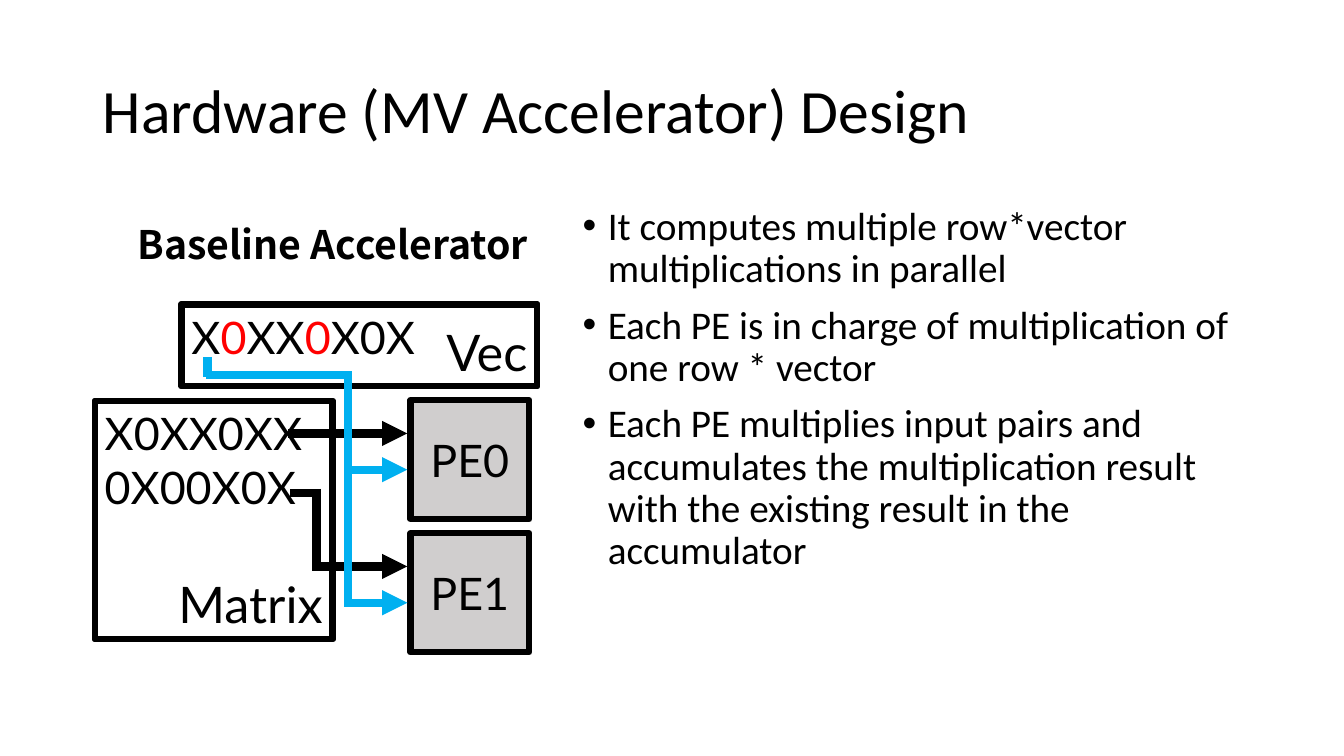
from lxml import etree
from pptx import Presentation
from pptx.dml.color import RGBColor
from pptx.enum.shapes import MSO_CONNECTOR, MSO_SHAPE
from pptx.enum.text import MSO_ANCHOR, MSO_AUTO_SIZE, PP_ALIGN
from pptx.oxml.ns import qn
from pptx.util import Inches, Pt

BLACK = RGBColor(0x00, 0x00, 0x00)
WHITE = RGBColor(0xFF, 0xFF, 0xFF)
RED = RGBColor(0xFF, 0x00, 0x00)
BLUE = RGBColor(0x00, 0xB0, 0xF0)
GRAY = RGBColor(0xD0, 0xCE, 0xCE)
LEFT, CENTER, RIGHT = PP_ALIGN.LEFT, PP_ALIGN.CENTER, PP_ALIGN.RIGHT
TOP, MIDDLE, BOTTOM = MSO_ANCHOR.TOP, MSO_ANCHOR.MIDDLE, MSO_ANCHOR.BOTTOM
RECTANGLE, STRAIGHT = MSO_SHAPE.RECTANGLE, MSO_CONNECTOR.STRAIGHT

TITLE_FORMAT = {"name": "Calibri", "size": Pt(44), "bold": False}
BODY_FORMAT = {"name": "Calibri", "size": Pt(28)}
HEADING_FORMAT = {"name": "Noto Sans CJK KR", "size": Pt(28), "bold": True}
LABEL_FORMAT = {"name": "Lato", "size": Pt(36)}
VALUE_FORMAT = {"name": "Lato", "size": Pt(32)}

BULLETS = [
    "It computes multiple row*vector multiplications in parallel",
    "Each PE is in charge of multiplication of one row * vector",
    "Each PE multiplies input pairs and accumulates the multiplication "
    "result with the existing result in the accumulator",
]
VECTOR_VALUES = [("X", BLACK), ("0", RED), ("XX", BLACK), ("0", RED), ("X0X", BLACK)]


def inches(*lengths):
    return [Inches(length) for length in lengths]


def add_run(paragraph, text, text_format, color=BLACK):
    run = paragraph.add_run()
    run.text = text
    for attribute, value in text_format.items():
        setattr(run.font, attribute, value)
    run.font.color.rgb = color


def write_lines(frame, lines, text_format, align=LEFT, anchor=TOP):
    """Write one paragraph per line, each a list of (text, color) runs."""
    frame.word_wrap = True
    frame.vertical_anchor = anchor
    for index, line in enumerate(lines):
        paragraph = frame.add_paragraph() if index else frame.paragraphs[0]
        paragraph.alignment = align
        for text, color in line:
            add_run(paragraph, text, text_format, color)


def add_box(slide, box, lines, text_format, align, anchor, fill=None):
    shape = slide.shapes.add_shape(RECTANGLE, *inches(*box))
    shape.shadow.inherit = False
    if fill is None:
        shape.fill.background()
    else:
        shape.fill.solid()
        shape.fill.fore_color.rgb = fill
    shape.line.color.rgb = BLACK
    shape.line.width = Pt(4.5)
    write_lines(shape.text_frame, lines, text_format, align, anchor)


def add_wire(slide, color, start, end, arrow=False):
    wire = slide.shapes.add_connector(STRAIGHT, *inches(*start, *end))
    wire.line.color.rgb = color
    wire.line.width = Pt(6)
    if arrow:
        etree.SubElement(wire.line._get_or_add_ln(), qn("a:tailEnd"), type="triangle")
    etree.SubElement(wire._element.spPr, qn("a:effectLst"))


def add_title(slide, box, text):
    title = slide.shapes.title
    title.left, title.top, title.width, title.height = inches(*box)
    title.text_frame.auto_size = MSO_AUTO_SIZE.NONE
    write_lines(title.text_frame, [[(text, BLACK)]], TITLE_FORMAT, anchor=MIDDLE)
    title.text_frame.paragraphs[0].line_spacing = 0.9


def add_bullets(slide, box, bullets):
    frame = slide.shapes.add_textbox(*inches(*box)).text_frame
    write_lines(frame, [[(text, BLACK)] for text in bullets], BODY_FORMAT)
    for index, paragraph in enumerate(frame.paragraphs):
        paragraph.line_spacing = 0.9
        if index:
            paragraph.space_before = Pt(10)
        properties = paragraph._p.get_or_add_pPr()
        properties.set("marL", str(Inches(0.25)))
        properties.set("indent", str(-Inches(0.25)))
        etree.SubElement(properties, qn("a:buFont"), typeface="Arial")
        etree.SubElement(properties, qn("a:buChar"), char="•")


def add_accelerator(slide, box):
    """Draw the vector, the matrix and the PEs, wired together."""
    left, top, width, height = box
    heading = slide.shapes.add_textbox(*inches(left, top, width, 0.57))
    write_lines(heading.text_frame, [[("Baseline Accelerator", BLACK)]],
                HEADING_FORMAT, CENTER)

    vector_box = (left + 1.08, top + 0.88, 3.53, 0.81)
    matrix_box = (left + 0.22, top + 1.84, 2.36, 2.36)
    stores = [
        (vector_box, "Vec", [VECTOR_VALUES]),
        (matrix_box, "Matrix", [[("X0XX0XX", BLACK)], [("0X00X0X", BLACK)]]),
    ]
    for store_box, label, values in stores:
        add_box(slide, store_box, [[(label, BLACK)]], LABEL_FORMAT, RIGHT, BOTTOM, WHITE)
        add_box(slide, store_box, values, VALUE_FORMAT, LEFT, TOP)

    pe_left, pe_size, pe_pitch = left + 3.35, 1.18, 1.32
    arrow_end = pe_left - 0.03
    bus_x, bus_top = left + 2.73, top + 1.58
    row_starts = [left + 2.14, left + 2.41]
    for index, row_start in enumerate(row_starts):
        pe_top = top + height - pe_size - (1 - index) * pe_pitch
        add_box(slide, (pe_left, pe_top, pe_size, pe_size), [[(f"PE{index}", BLACK)]],
                VALUE_FORMAT, CENTER, MIDDLE, GRAY)
        row_y, vector_y = pe_top + 0.33, pe_top + 0.69
        add_wire(slide, BLUE, (bus_x, vector_y), (arrow_end, vector_y), arrow=True)
        add_wire(slide, BLACK, (row_start, row_y), (arrow_end, row_y), arrow=True)

    second_row_y, elbow_x = top + 2.75, row_starts[1] + 0.01
    add_wire(slide, BLACK, (elbow_x, second_row_y - 0.04), (elbow_x, row_y + 0.04))
    add_wire(slide, BLACK, (elbow_x, second_row_y), (left + 2.16, second_row_y))

    vector_x = left + 1.34
    add_wire(slide, BLUE, (bus_x, bus_top - 0.03), (bus_x, vector_y + 0.04))
    add_wire(slide, BLUE, (vector_x, bus_top - 0.18), (vector_x, bus_top + 0.02))
    add_wire(slide, BLUE, (bus_x + 0.04, bus_top), (vector_x - 0.02, bus_top))


def main():
    presentation = Presentation()
    presentation.slide_width, presentation.slide_height = inches(13.33, 7.5)
    slide = presentation.slides.add_slide(presentation.slide_layouts[5])
    add_title(slide, (0.92, 0.4, 11.5, 1.45), "Hardware (MV Accelerator) Design")
    add_bullets(slide, (5.68, 2, 6.74, 5.14), BULLETS)
    add_accelerator(slide, (0.72, 2.14, 5.16, 4.33))
    presentation.save("out.pptx")


if __name__ == "__main__":
    main()
